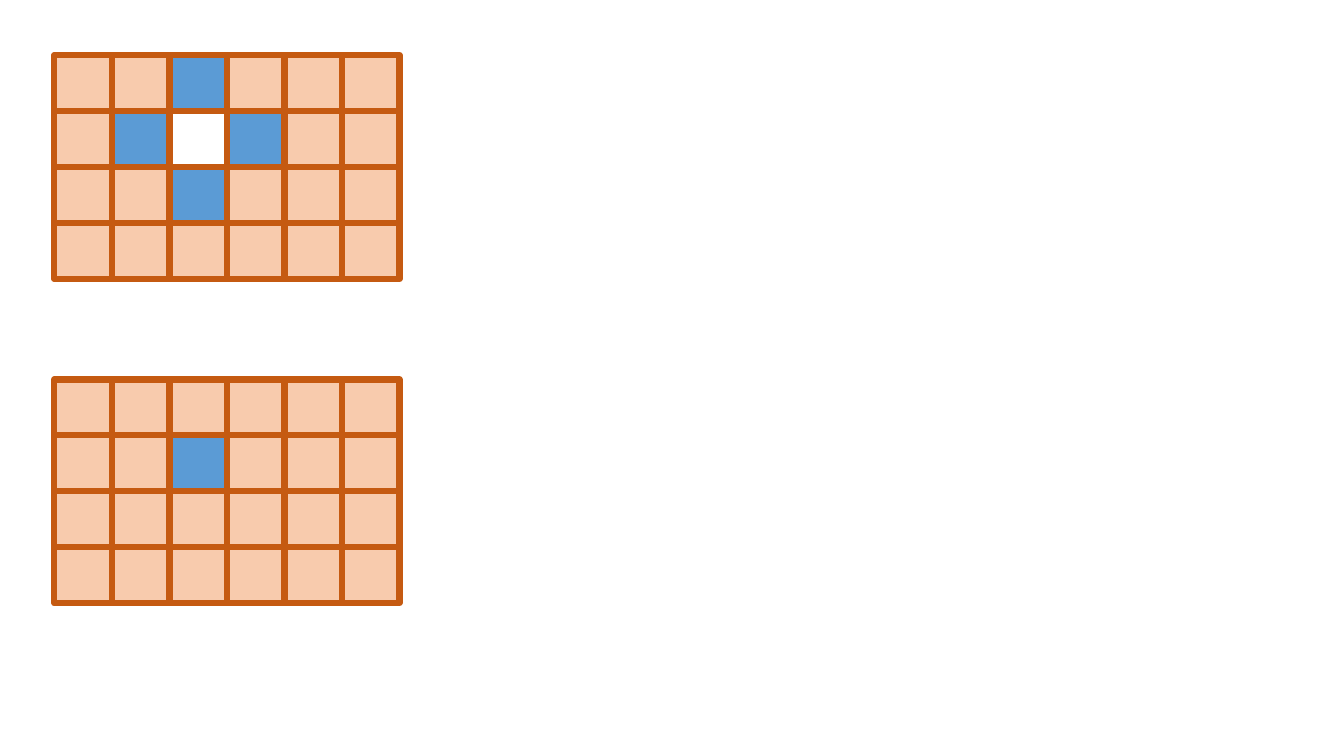
"""Build a slide with two cell grids: a cross around a gap, and a single cell."""
from dataclasses import dataclass

from pptx import Presentation
from pptx.dml.color import RGBColor
from pptx.enum.shapes import MSO_SHAPE
from pptx.slide import Slide
from pptx.util import Cm, Pt

RECT = MSO_SHAPE.RECTANGLE
COLORS = {"plain": "F8CBAD", "mark": "5B9BD5", "edge": "C55A11"}
KINDS = {".": "plain", "#": "mark"}
LEFT, WIDE, HIGH = 1.37, 1.45, 1.41


@dataclass
class Grid:
    """Rows of cells: '.' is plain, '#' is marked, a space is left open."""
    top: float
    rows: tuple[str, ...]


GRIDS = (
    Grid(1.39, ("..#...", ".# #..", "..#...", "......")),
    Grid(9.56, ("......", "..#...", "......", "......")),
)


def color(name: str) -> RGBColor:
    """Look up a named colour."""
    return RGBColor.from_string(COLORS[name])


def draw_grid(slide: Slide, grid: Grid) -> None:
    """Draw the cells of a grid as one group."""
    group = slide.shapes.add_group_shape()
    for row, marks in enumerate(grid.rows):
        for col, mark in enumerate(marks):
            if mark not in KINDS:
                continue
            cell = group.shapes.add_shape(
                RECT, Cm(LEFT + col * WIDE), Cm(grid.top + row * HIGH),
                Cm(WIDE), Cm(HIGH))
            cell.shadow.inherit = False
            cell.fill.solid()
            cell.fill.fore_color.rgb = color(KINDS[mark])
            cell.line.color.rgb = color("edge")
            cell.line.width = Pt(4.5)


def main() -> None:
    """Build and save the slide."""
    deck = Presentation()
    deck.slide_width, deck.slide_height = Cm(33.87), Cm(19.05)
    slide = deck.slides.add_slide(deck.slide_layouts[6])
    for grid in GRIDS:
        draw_grid(slide, grid)
    deck.save("out.pptx")


if __name__ == "__main__":
    main()
